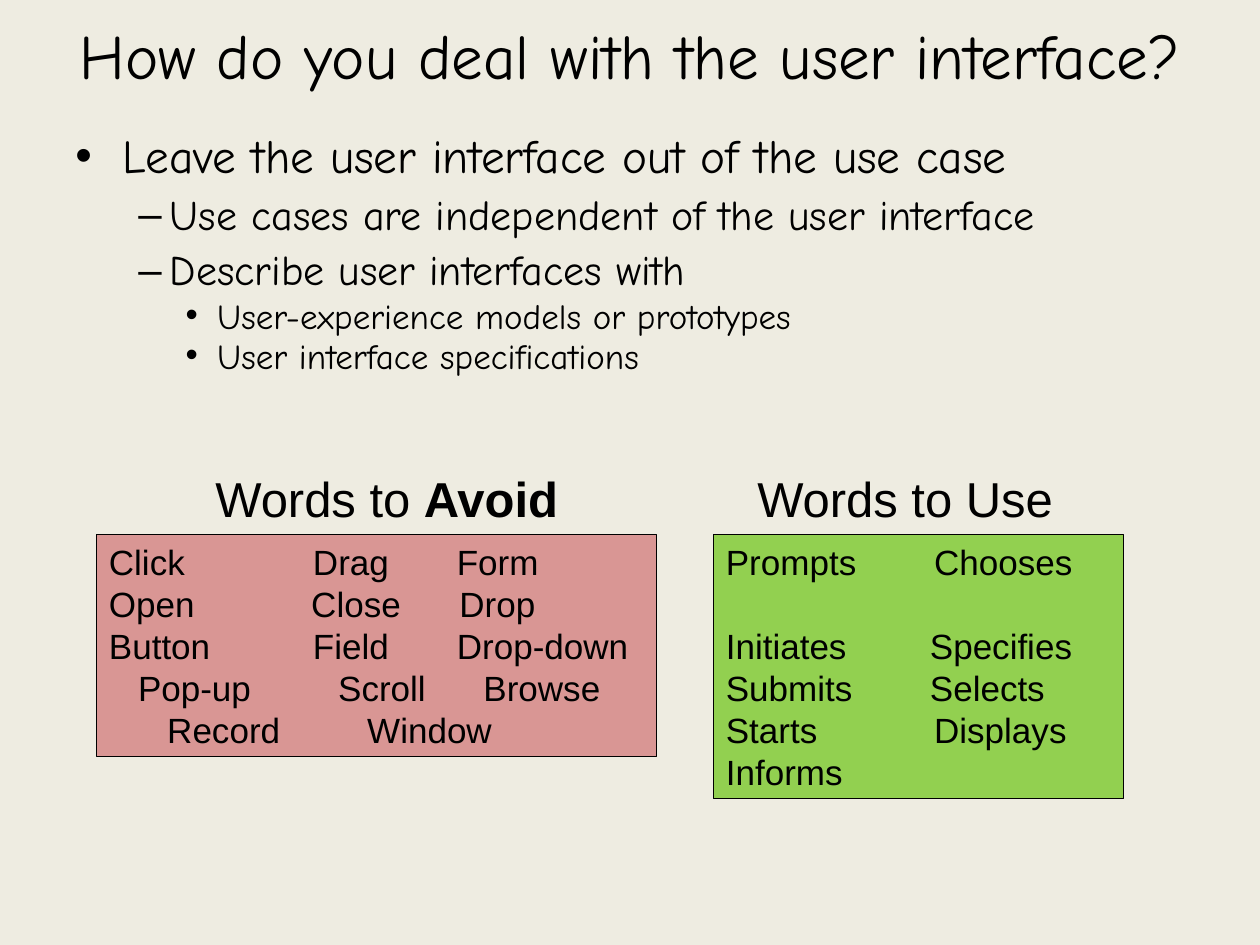
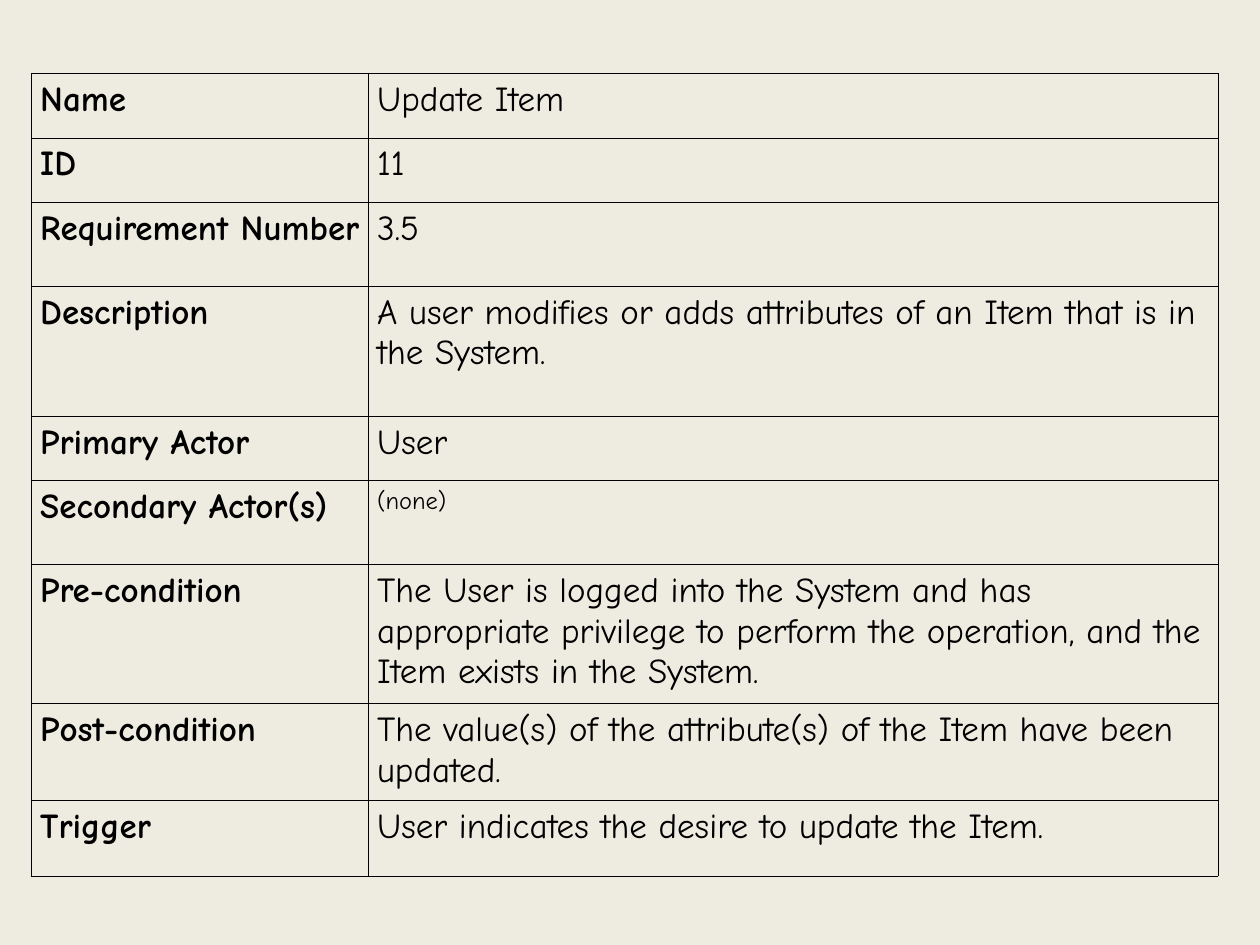
import pptx
import pptx.util
import pptx.dml.color
import pptx.enum.text
import pptx.enum.shapes
import lxml.etree
from dataclasses import dataclass

Pt = pptx.util.Pt
ALIGN = pptx.enum.text.PP_ALIGN


@dataclass(frozen=True)
class Theme:
    page: str = "EEECE1"
    ink: str = "000000"
    avoid: str = "D99694"
    use: str = "92D050"
    hand: str = "Comic Neue"
    plain: str = "Arial"
    title: int = 36
    head: int = 28
    text: int = 20
    small: int = 14
    edge: float = 0.75
    grid: float = 0.45
    lead: float = 1.2


THEME = Theme()


@dataclass(frozen=True)
class Level:
    size: int
    left: float
    hang: float
    mark: str
    line: float
    before: float


LEVELS = [
    Level(27, 27, 27, "•", 0.9, 6.8),
    Level(24, 54, 18, "–", 0.9, 6),
    Level(20, 81, 18, "•", 0.7, 6.2),
]

POINTS = [
    (0, "Leave the user interface out of the use case"),
    (1, "Use cases are independent of the user interface"),
    (1, "Describe user interfaces with"),
    (2, "User-experience models or prototypes"),
    (2, "User interface specifications"),
]

# Each row of words: space before, words, tab stops of the words
AVOID = [
    (0, ["Click", "Drag", "Form"], [0, 116.6, 198.8]),
    (0, ["Open", "Close", "Drop"], [0, 115.6, 200.2]),
    (0, ["Button", "Field", "Drop-down"], [0, 116.6, 198.8]),
    (0, ["Pop-up", "Scroll", "Browse"], [16.6, 131, 214]),
    (0, ["Record", "Window"], [33.3, 147.6]),
]
USE = [
    (0, ["Prompts", "Chooses"], [0, 119]),
    (24, ["Initiates", "Specifies"], [0, 116.6]),
    (0, ["Submits", "Selects"], [0, 116.6]),
    (0, ["Starts", "Displays"], [0, 119]),
    (0, ["Informs"], [0]),
]

# Each field of the use case: height, label, value
FIELDS = [
    (37, "Name", "Update Item"),
    (37, "ID", "11"),
    (48, "Requirement Number", "3.5"),
    (74, "Description",
     "A user modifies or adds attributes of an Item that is in the System."),
    (37, "Primary Actor", "User"),
    (48, "Secondary Actor(s)", "(none)"),
    (74, "Pre-condition",
     "The User is logged into the System and has appropriate privilege to "
     "perform the operation, and the Item exists in the System."),
    (48, "Post-condition",
     "The value(s) of the attribute(s) of the Item have been updated."),
    (43, "Trigger", "User indicates the desire to update the Item."),
]


def color(code):
    return pptx.dml.color.RGBColor.from_string(code)


def add(parent, tag, **attrs):
    """Append a drawing element with its attributes."""
    node = lxml.etree.SubElement(parent, pptx.oxml.ns.qn("a:" + tag))
    for key, value in attrs.items():
        node.set(key, str(value))
    return node


def style(par, size, face, bold=None):
    par.font.size = Pt(size)
    par.font.name = face
    par.font.color.rgb = color(THEME.ink)
    par.font.bold = bold


def paras(frame, items):
    """Yield a paragraph of the frame with each item."""
    for i, item in enumerate(items):
        yield (frame.add_paragraph() if i else frame.paragraphs[0]), item


def text_box(slide, box, wrap=True):
    frame = slide.shapes.add_textbox(*map(Pt, box)).text_frame
    frame.word_wrap = wrap
    return frame


def add_page(deck):
    slide = deck.slides.add_slide(deck.slide_layouts[6])
    slide.background.fill.solid()
    slide.background.fill.fore_color.rgb = color(THEME.page)
    return slide


def add_title(slide, box, text):
    frame = text_box(slide, box)
    frame.vertical_anchor = pptx.enum.text.MSO_ANCHOR.MIDDLE
    par = frame.paragraphs[0]
    par.text = text
    par.alignment = ALIGN.CENTER
    style(par, THEME.title, THEME.hand)


def add_points(slide, box, points):
    for par, (depth, text) in paras(text_box(slide, box), points):
        level = LEVELS[depth]
        par.text = text
        par.level = depth
        par.line_spacing = level.line
        if depth:
            par.space_before = Pt(level.before)
        props = par._p.get_or_add_pPr()
        props.set("marL", str(Pt(level.left)))
        props.set("indent", str(-Pt(level.hang)))
        add(add(props, "buClr"), "srgbClr", val=THEME.ink)
        add(props, "buFont", typeface=THEME.plain)
        add(props, "buChar", char=level.mark)
        style(par, level.size, THEME.hand)


def add_head(slide, box, text, strong):
    """Heading of a word box, whose last word may be bold."""
    par = text_box(slide, box, wrap=False).paragraphs[0]
    par.alignment = ALIGN.CENTER
    par.line_spacing = Pt(THEME.head * THEME.lead)
    style(par, THEME.head, THEME.plain)
    for part, bold in zip(text, (None, strong)):
        run = par.add_run()
        run.text = part
        run.font.bold = bold


def add_words(slide, box, fill, rows):
    """Filled box with rows of words set on tab stops."""
    shape = slide.shapes.add_shape(
        pptx.enum.shapes.MSO_SHAPE.RECTANGLE, *map(Pt, box))
    shape.shadow.inherit = False
    shape.fill.solid()
    shape.fill.fore_color.rgb = color(fill)
    shape.line.color.rgb = color(THEME.ink)
    shape.line.width = Pt(THEME.edge)
    frame = shape.text_frame
    frame.word_wrap = True
    frame.vertical_anchor = pptx.enum.text.MSO_ANCHOR.TOP
    for par, (before, words, stops) in paras(frame, rows):
        par.text = ("\t" if stops[0] else "") + "\t".join(words)
        par.alignment = ALIGN.LEFT
        par.line_spacing = Pt(THEME.text * THEME.lead)
        if before:
            par.space_before = Pt(before)
        tabs = add(par._p.get_or_add_pPr(), "tabLst")
        for stop in filter(None, stops):
            add(tabs, "tab", pos=Pt(stop), algn="l")
        style(par, THEME.text, THEME.plain)


def fill_cell(cell, text, size, bold):
    cell.margin_left, cell.margin_right = Pt(5), Pt(4)
    cell.margin_top = cell.margin_bottom = Pt(3.7)
    props = cell._tc.get_or_add_tcPr()
    for side in ("lnL", "lnR", "lnT", "lnB"):
        line = add(props, side, w=Pt(THEME.grid))
        add(add(line, "solidFill"), "srgbClr", val=THEME.ink)
    cell.fill.background()
    par = cell.text_frame.paragraphs[0]
    par.text = text
    style(par, size, THEME.hand, bold)


def add_fields(slide, box, widths, fields):
    table = slide.shapes.add_table(
        len(fields), len(widths), *map(Pt, box)).table
    table.first_row = table.horz_banding = False
    for column, width in zip(table.columns, widths):
        column.width = Pt(width)
    for i, (height, label, value) in enumerate(fields):
        table.rows[i].height = Pt(height)
        size = THEME.small if value == "(none)" else THEME.text
        fill_cell(table.cell(i, 0), label, THEME.text, True)
        fill_cell(table.cell(i, 1), value, size, False)


def words_page(deck):
    slide = add_page(deck)
    add_title(slide, (0, 0, 720, 62.5),
              "How do you deal with the user interface?")
    add_points(slide, (36, 72, 648, 192), POINTS)
    add_words(slide, (55.2, 305.3, 320.2, 127.2), THEME.avoid, AVOID)
    add_words(slide, (407.7, 305.3, 234.4, 151.2), THEME.use, USE)
    add_head(slide, (115, 264, 212, 41), ("Words to ", "Avoid"), True)
    add_head(slide, (425.5, 264, 183.5, 41), ("Words to Use",), None)


def case_page(deck):
    slide = add_page(deck)
    add_fields(slide, (18, 41.8, 678, 446), (192.5, 485.5), FIELDS)


def main():
    deck = pptx.Presentation()
    deck.slide_width, deck.slide_height = Pt(720), Pt(540)
    words_page(deck)
    case_page(deck)
    deck.save("out.pptx")


if __name__ == "__main__":
    main()
